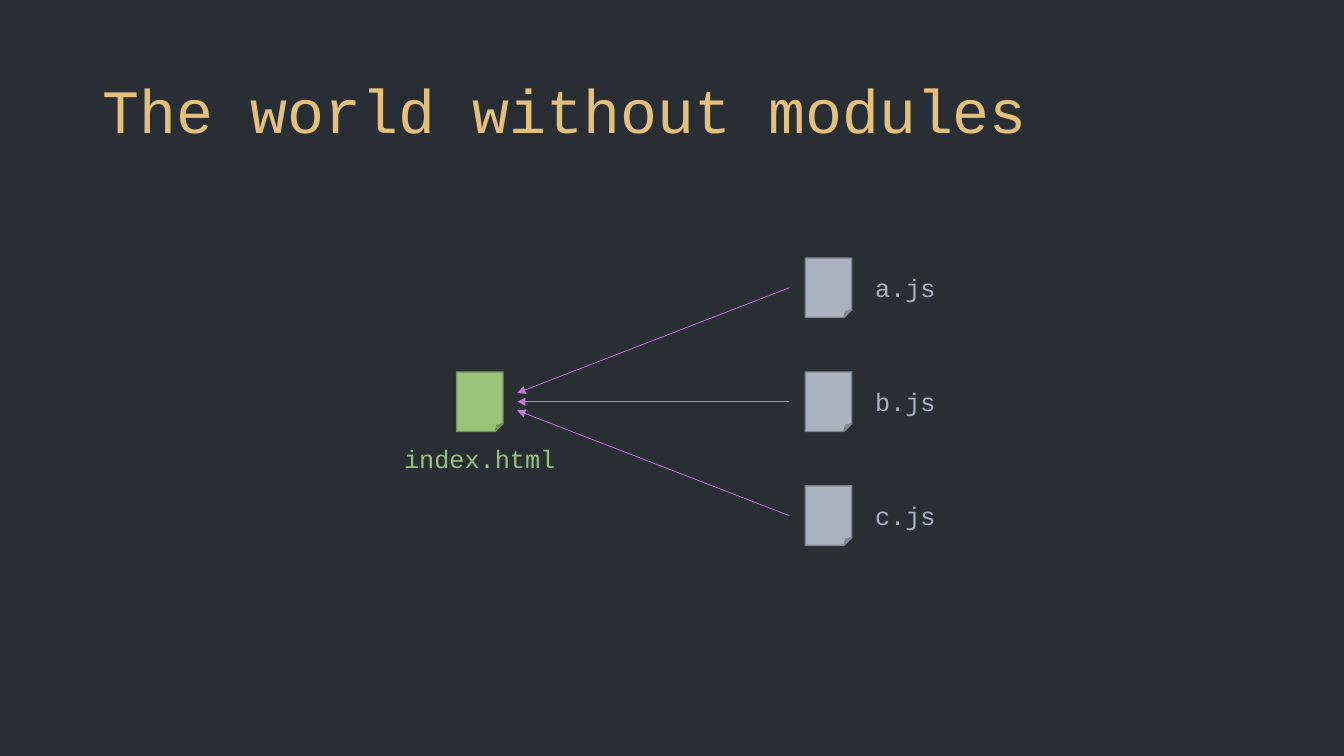
from dataclasses import dataclass

import pptx
import pptx.dml.color
import pptx.enum.shapes
import pptx.enum.text
import pptx.oxml
import pptx.oxml.ns
import pptx.presentation
import pptx.shapes.autoshape
import pptx.slide
import pptx.util


@dataclass(frozen=True)
class Theme:
    font: str = "Courier New"
    background: str = "292D34"
    title: str = "E5C07B"
    page: str = "98C379"
    page_edge: str = "70905A"
    script: str = "ABB2BF"
    script_edge: str = "7F848D"
    arrow: str = "C678DD"
    title_pt: float = 44
    label_pt: float = 18
    edge_pt: float = 1
    arrow_pt: float = 0.5


@dataclass(frozen=True)
class Box:
    left: float
    top: float
    width: float
    height: float


@dataclass(frozen=True)
class File:
    name: str
    icon: Box
    label: Box
    fill: str
    edge: str

    @property
    def middle(self) -> float:
        return self.icon.top + self.icon.height / 2


THEME = Theme()
WIDTH = pptx.util.Inches(13.33)
HEIGHT = pptx.util.Inches(7.5)
GRID = 100

ICON_W, ICON_H = 3.45, 7.87
LABEL_H = 5.33
PAGE_TOP = 49.2
ROW_PITCH = 15.07
ARROW_START, ARROW_END = 58.73, 38.48
ARROW_FAN = 1.15

PAGE = File("index.html", Box(33.98, PAGE_TOP, ICON_W, ICON_H),
            Box(29.33, 58, 12.83, LABEL_H), THEME.page, THEME.page_edge)


def col(n: float) -> int:
    return round(WIDTH * n / GRID)


def row(n: float) -> int:
    return round(HEIGHT * n / GRID)


def place(box: Box) -> tuple[int, int, int, int]:
    return col(box.left), row(box.top), col(box.width), row(box.height)


def rgb(value: str) -> pptx.dml.color.RGBColor:
    return pptx.dml.color.RGBColor.from_string(value)


def script_file(name: str, step: int) -> File:
    top = PAGE_TOP + step * ROW_PITCH
    return File(name, Box(59.93, top, ICON_W, ICON_H),
                Box(64.37, top + 1.25, 6.08, LABEL_H),
                THEME.script, THEME.script_edge)


def write(tf: pptx.text.text.TextFrame, text: str, size: float, color: str) -> None:
    p = tf.paragraphs[0]
    p.text = text
    p.alignment = pptx.enum.text.PP_ALIGN.LEFT
    p.font.name = THEME.font
    p.font.size = pptx.util.Pt(size)
    p.font.color.rgb = rgb(color)


def add_title(s: pptx.slide.Slide, text: str, box: Box) -> None:
    sp = s.shapes.title
    sp.left, sp.top, sp.width, sp.height = place(box)
    tf = sp.text_frame
    tf.word_wrap = True
    tf.auto_size = pptx.enum.text.MSO_AUTO_SIZE.NONE
    tf.vertical_anchor = pptx.enum.text.MSO_ANCHOR.MIDDLE
    write(tf, text, THEME.title_pt, THEME.title)
    tf.paragraphs[0].line_spacing = 0.9


def add_file(s: pptx.slide.Slide, file: File) -> None:
    sp = s.shapes.add_shape(
        pptx.enum.shapes.MSO_SHAPE.FOLDED_CORNER, *place(file.icon))
    sp.shadow.inherit = False
    sp.fill.solid()
    sp.fill.fore_color.rgb = rgb(file.fill)
    sp.line.color.rgb = rgb(file.edge)
    sp.line.width = pptx.util.Pt(THEME.edge_pt)
    tf = s.shapes.add_textbox(*place(file.label)).text_frame
    tf.word_wrap = False
    tf.auto_size = pptx.enum.text.MSO_AUTO_SIZE.SHAPE_TO_FIT_TEXT
    write(tf, file.name, THEME.label_pt, file.fill)


def add_arrow(s: pptx.slide.Slide, start_row: float, end_row: float) -> None:
    cx = s.shapes.add_connector(
        pptx.enum.shapes.MSO_CONNECTOR.STRAIGHT,
        col(ARROW_START), row(start_row), col(ARROW_END), row(end_row))
    cx.line.color.rgb = rgb(THEME.arrow)
    cx.line.width = pptx.util.Pt(THEME.arrow_pt)
    head = pptx.oxml.parse_xml(
        f'<a:tailEnd {pptx.oxml.ns.nsdecls("a")} type="triangle"/>')
    cx.line._get_or_add_ln().append(head)
    cx._element.spPr.append(
        pptx.oxml.parse_xml(f'<a:effectLst {pptx.oxml.ns.nsdecls("a")}/>'))


def main() -> None:
    prs = pptx.Presentation()
    prs.slide_width, prs.slide_height = WIDTH, HEIGHT
    s = prs.slides.add_slide(prs.slide_layouts[5])
    s.background.fill.solid()
    s.background.fill.fore_color.rgb = rgb(THEME.background)

    add_title(s, "The world without modules", Box(6.9, 5.33, 86.27, 19.33))
    add_file(s, PAGE)
    for step, name in enumerate(("a.js", "b.js", "c.js"), start=-1):
        file = script_file(name, step)
        add_file(s, file)
        add_arrow(s, file.middle, PAGE.middle + step * ARROW_FAN)

    prs.save("out.pptx")


if __name__ == "__main__":
    main()
